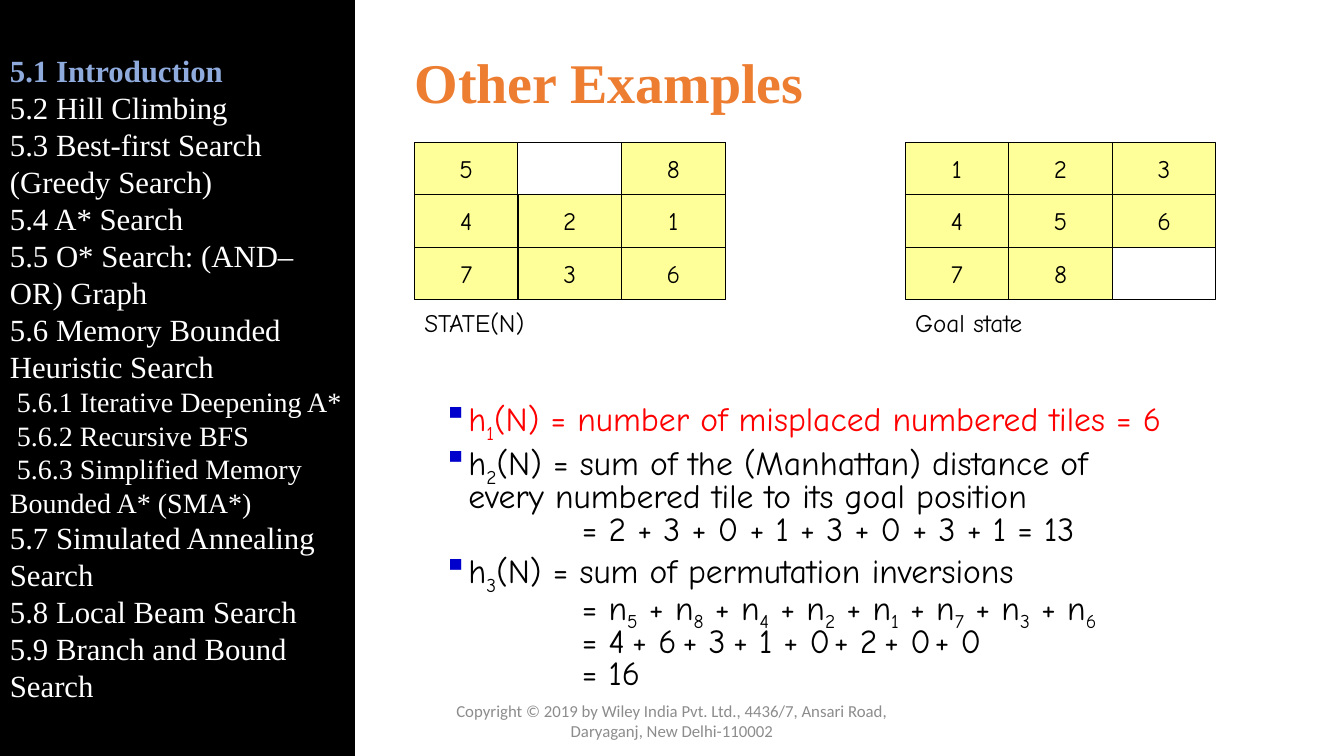
from lxml.etree import SubElement
from pptx import Presentation
from pptx.dml.color import RGBColor
from pptx.enum.shapes import MSO_SHAPE
from pptx.enum.text import MSO_ANCHOR, PP_ALIGN
from pptx.oxml.ns import qn
from pptx.util import Pt

COLORS = {
    "black": "000000", "white": "FFFFFF", "current": "8FAADC", "title": "ED7D31",
    "tile": "FFFF99", "highlight": "FF0000", "bullet": "0000CC", "footer": "8C8C8C",
}
SERIF, COMIC, SANS = "Times New Roman", "Comic Neue", "Calibri"

SECTIONS = [
    "5.1 Introduction", "5.2 Hill Climbing", "5.3 Best-first Search (Greedy Search)",
    "5.4 A* Search", "5.5 O* Search: (AND–OR) Graph",
    "5.6 Memory Bounded Heuristic Search", "5.6.1 Iterative Deepening A*",
    "5.6.2 Recursive BFS", "5.6.3 Simplified Memory Bounded A* (SMA*)",
    "5.7 Simulated Annealing Search", "5.8 Local Beam Search",
    "5.9 Branch and Bound Search",
]
# An underscore lowers the character after it; equations start with "=".
HEURISTICS = [
    "h_1(N) = number of misplaced numbered tiles = 6",
    "h_2(N) = sum of the (Manhattan) distance of\vevery numbered tile to its goal position",
    "= 2 + 3 + 0 + 1 + 3 + 0 + 3 + 1 = 13",
    "h_3(N) = sum of permutation inversions",
    "= n_5 + n_8 + n_4 + n_2 + n_1 + n_7 + n_3 + n_6",
    "= 4\t+ 6\t+ 3\t+ 1\t+ 0\t+ 2\t+ 0\t+ 0",
    "= 16",
]
PLUS_STOPS = [184, 231, 284, 333, 379, 431, 481]


def rgb(name):
    return RGBColor.from_string(COLORS[name])


def write(frame, text, font=COMIC, size=18, color="black", bold=False,
          align=PP_ALIGN.LEFT, spacing=1.0, before=0, indent=(0, 0),
          bullet=None, stops=()):
    """Append a paragraph to the frame, filling its empty first one."""
    paragraph = frame.paragraphs[0]
    if paragraph.runs:
        paragraph = frame.add_paragraph()
    paragraph.alignment = align
    paragraph.line_spacing = spacing
    paragraph.space_before = Pt(before)
    properties = paragraph._p.get_or_add_pPr()
    left, first = indent
    properties.set("marL", str(Pt(left)))
    properties.set("indent", str(Pt(first)))
    if bullet:
        bullet_color = SubElement(properties, qn("a:buClr"))
        SubElement(bullet_color, qn("a:srgbClr"), val=COLORS["bullet"])
        SubElement(properties, qn("a:buChar"), char=bullet)
    else:
        SubElement(properties, qn("a:buNone"))
    if stops:
        tabs = SubElement(properties, qn("a:tabLst"))
        for stop in stops:
            SubElement(tabs, qn("a:tab"), pos=str(Pt(stop)), algn="l")
    paragraph.font.size = Pt(size)

    def add_run(piece, lowered=False):
        run = paragraph.add_run()
        run.text = piece
        run.font.name, run.font.size, run.font.bold = font, Pt(size), bold
        run.font.color.rgb = rgb(color)
        if lowered:
            run._r.get_or_add_rPr().set("baseline", "-25000")

    def add_lines(piece):
        for number, line in enumerate(piece.split("\v")):
            if number:
                paragraph.add_line_break()
            if line:
                add_run(line)

    plain, *lowered_pieces = text.split("_")
    add_lines(plain)
    for piece in lowered_pieces:
        add_run(piece[0], lowered=True)
        add_lines(piece[1:])


def text_frame(slide, left, top, width, height, anchor=MSO_ANCHOR.TOP):
    box = slide.shapes.add_textbox(Pt(left), Pt(top), Pt(width), Pt(height))
    box.text_frame.word_wrap = True
    box.text_frame.vertical_anchor = anchor
    return box.text_frame


def rectangle(slide, left, top, width, height, fill=None, line=None):
    shape = slide.shapes.add_shape(
        MSO_SHAPE.RECTANGLE, Pt(left), Pt(top), Pt(width), Pt(height))
    shape.shadow.inherit = False
    if fill:
        shape.fill.solid()
        shape.fill.fore_color.rgb = rgb(fill)
    else:
        shape.fill.background()
    if line:
        shape.line.color.rgb = rgb(line)
        shape.line.width = Pt(0.75)
    else:
        shape.line.fill.background()
    shape.text_frame.vertical_anchor = MSO_ANCHOR.MIDDLE
    return shape.text_frame


def sidebar(slide, left, top, width, height):
    frame = rectangle(slide, left, top, width, height, fill="black")
    frame.word_wrap = True
    for section in SECTIONS:
        current = section == SECTIONS[0]
        nested = section.startswith("5.6.")
        write(frame, section, font=SERIF, size=20 if nested else 22, bold=current,
              color="current" if current else "white", indent=(0, 5 if nested else 0))


def puzzle(slide, left, top, width, height, tiles, caption):
    """Draw a 3 by 3 board, row by row, where a dot is the empty square."""
    rectangle(slide, left, top, width, height, line="black")
    tile_width, tile_height = width / 3, height / 3
    for place, number in enumerate(tiles):
        if number == ".":
            continue
        row, column = divmod(place, 3)
        tile = rectangle(slide, left + column * tile_width, top + row * tile_height,
                         tile_width, tile_height, fill="tile", line="black")
        write(tile, number, align=PP_ALIGN.CENTER)
    write(text_frame(slide, left, top + height + 2, 168, 32), caption)


def heuristics(slide, left, top, width, height):
    frame = text_frame(slide, left, top, width, height)
    for position, line in enumerate(HEURISTICS):
        if line.startswith("="):
            layout = dict(indent=(135, 0), stops=PLUS_STOPS if "\t" in line else ())
        else:
            layout = dict(indent=(54, -18), bullet="▪", before=5 if position else 0)
        write(frame, line, size=24, spacing=0.8,
              color="black" if position else "highlight", **layout)


def main():
    deck = Presentation()
    deck.slide_width, deck.slide_height = Pt(960), Pt(540)
    slide = deck.slides.add_slide(deck.slide_layouts[6])
    heuristics(slide, 273.5, 284, 622, 214)
    write(text_frame(slide, 289, 29, 605, 64, MSO_ANCHOR.MIDDLE), "Other Examples",
          font=SERIF, size=40, color="title", bold=True, spacing=0.9)
    puzzle(slide, 296, 101.5, 222, 112.5, "5.8421736", "STATE(N)")
    puzzle(slide, 646.5, 101.5, 222, 112.5, "12345678.", "Goal state")
    sidebar(slide, 0, 0, 253.5, 540)
    write(text_frame(slide, 318, 500.5, 324, 29, MSO_ANCHOR.MIDDLE),
          "Copyright © 2019 by Wiley India Pvt. Ltd., 4436/7, Ansari Road, "
          "Daryaganj, New Delhi-110002",
          font=SANS, size=12, color="footer", align=PP_ALIGN.CENTER)
    deck.save("out.pptx")


if __name__ == "__main__":
    main()
